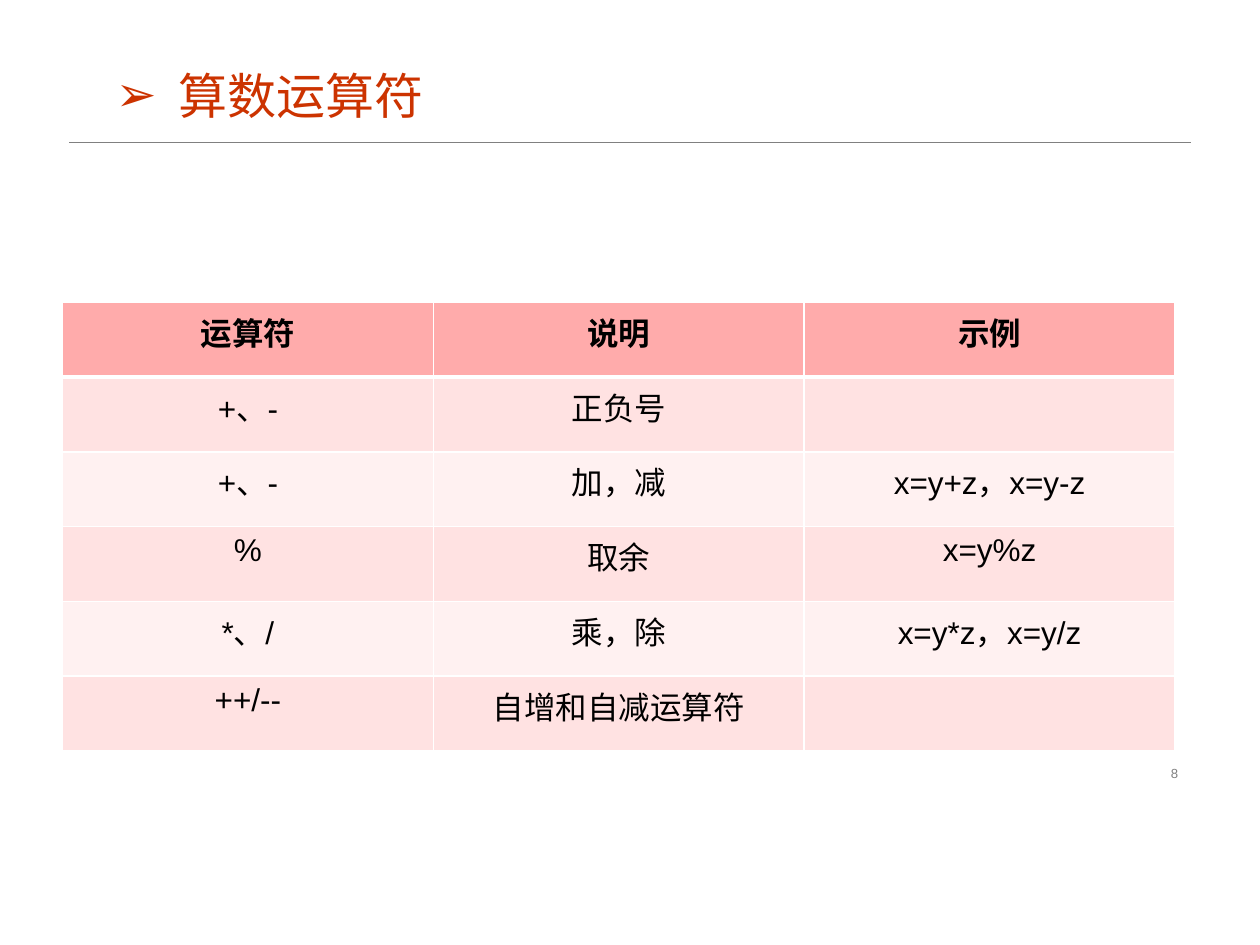
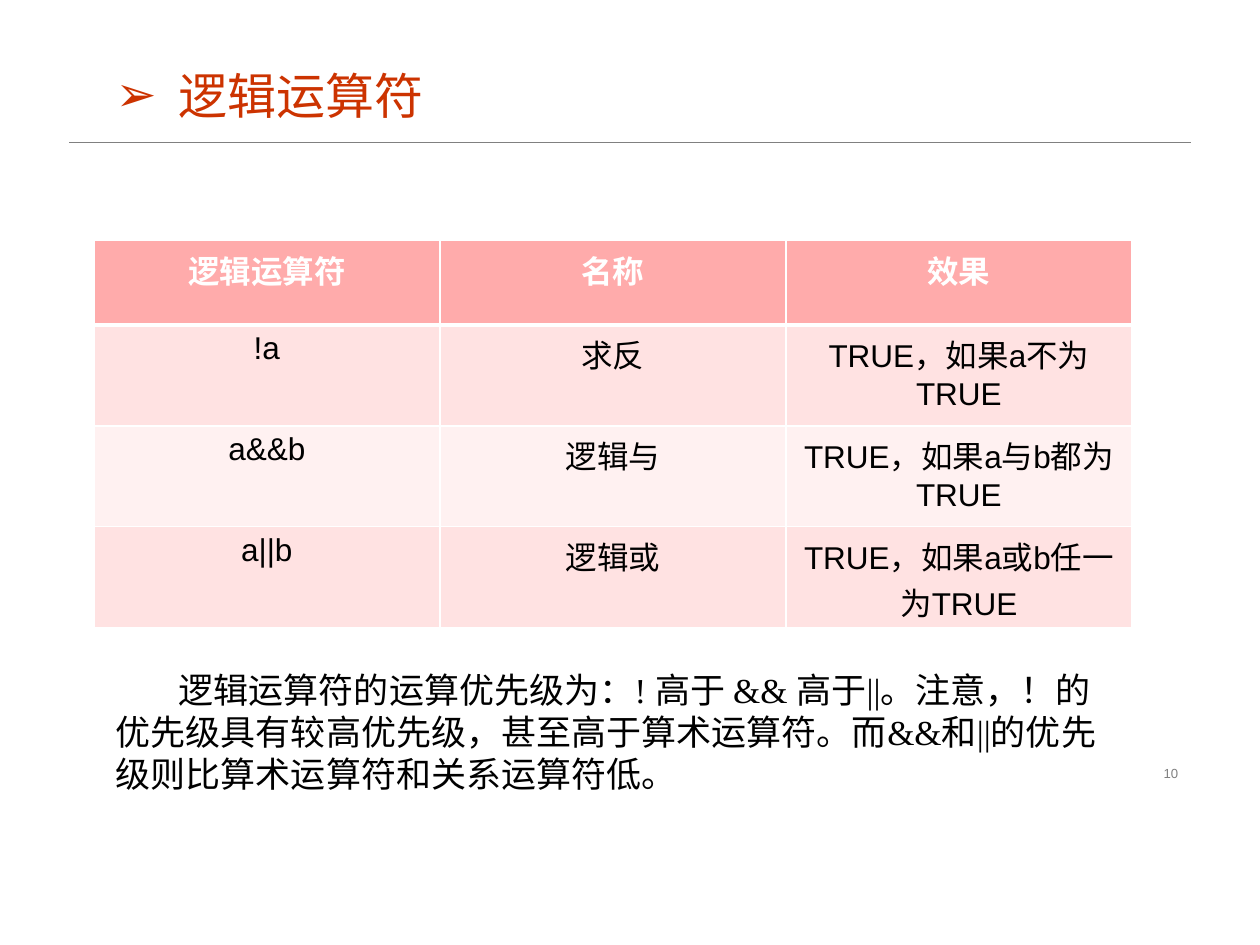
from dataclasses import dataclass

from lxml import etree
from pptx import Presentation
from pptx.dml.color import RGBColor
from pptx.enum.shapes import MSO_CONNECTOR
from pptx.enum.text import MSO_ANCHOR, MSO_AUTO_SIZE, PP_ALIGN
from pptx.oxml.ns import qn
from pptx.util import Inches, Pt

STRAIGHT = MSO_CONNECTOR.STRAIGHT
MIDDLE, TOP = MSO_ANCHOR.MIDDLE, MSO_ANCHOR.TOP
CENTER, LEFT, RIGHT = PP_ALIGN.CENTER, PP_ALIGN.LEFT, PP_ALIGN.RIGHT
FIT_SHAPE, NO_FIT = MSO_AUTO_SIZE.SHAPE_TO_FIT_TEXT, MSO_AUTO_SIZE.NONE


@dataclass(frozen=True)
class Theme:
    accent: str = "CC3300"
    ink: str = "000000"
    paper: str = "FFFFFF"
    muted: str = "808080"
    header: str = "FFABAB"
    bands: tuple = ("FFE2E2", "FFF1F1")
    sans: str = "Arial"
    serif: str = "Times New Roman"
    title_size: float = 28
    note_size: float = 20
    table_size: float = 18
    number_size: float = 7.5
    rule_width: float = 0.25
    border: float = 1
    header_border: float = 3


THEME = Theme()

# The slide is a grid of 100 columns by 75 rows
COLUMNS, ROWS = 100, 75
prs = Presentation()
prs.slide_width, prs.slide_height = Inches(10), Inches(7.5)


def across(columns):
    return round(prs.slide_width * columns / COLUMNS)


def down(rows):
    return round(prs.slide_height * rows / ROWS)


@dataclass(frozen=True)
class Box:
    left: float
    top: float
    width: float
    height: float

    def place(self):
        return (across(self.left), down(self.top),
                across(self.width), down(self.height))


RULE = Box(5.5, 11.25, 89, 0)
TITLE = Box(8.2, 4.7, 26.7, 5.7)
NUMBER = Box(70.6, 60.55, 23.9, 1.7)
NOTE = Box(8.2, 52.6, 81.2, 11.1)
INDENT = across(5)

# Full-width punctuation of the Chinese text
COMMA, COLON, EXCLAMATION = "\uff0c", "\uff1a", "\uff01"


def write(frame, text, size, font, color, align, bold=False):
    paragraph = frame.paragraphs[0]
    paragraph.text = text
    paragraph.alignment = align
    for run in paragraph.runs:
        run.font.size, run.font.name, run.font.bold = Pt(size), font, bold
        run.font.color.rgb = RGBColor.from_string(color)
    return paragraph


def add_text(slide, box, text, size, font, color, align=LEFT,
             wrap=True, fit=FIT_SHAPE, anchor=TOP):
    frame = slide.shapes.add_textbox(*box.place()).text_frame
    frame.word_wrap, frame.auto_size, frame.vertical_anchor = wrap, fit, anchor
    return write(frame, text, size, font, color, align)


def set_indent(paragraph, margin, first_line, bullet=None):
    properties = paragraph._p.get_or_add_pPr()
    properties.set("marL", str(margin))
    properties.set("indent", str(first_line))
    if bullet:
        etree.SubElement(properties, qn("a:buFont"), typeface=THEME.sans)
        etree.SubElement(properties, qn("a:buChar"), char=bullet)


def add_title(slide, box, text):
    title = add_text(slide, box, text, THEME.title_size, THEME.serif,
                     THEME.accent, wrap=False)
    set_indent(title, INDENT, -INDENT, "\u27a2")


def add_rule(slide, box):
    left, top, width, height = box.place()
    rule = slide.shapes.add_connector(STRAIGHT, left, top, left + width, top + height)
    rule.line.color.rgb = RGBColor.from_string(THEME.muted)
    rule.line.width = Pt(THEME.rule_width)
    etree.SubElement(rule._element.spPr, qn("a:effectLst"))


def add_number(slide, box, number):
    add_text(slide, box, str(number), THEME.number_size, THEME.sans,
             THEME.muted, RIGHT, fit=NO_FIT, anchor=MIDDLE)


def add_note(slide, box, text):
    note = add_text(slide, box, text, THEME.note_size, THEME.serif, THEME.ink)
    set_indent(note, 0, INDENT)


def set_borders(cell, top, bottom):
    properties = cell._tc.get_or_add_tcPr()
    widths = {"lnL": THEME.border, "lnR": THEME.border, "lnT": top, "lnB": bottom}
    # Border lines come before the fill
    for position, (side, width) in enumerate(widths.items()):
        line = etree.Element(qn(f"a:{side}"), w=str(Pt(width)))
        fill = etree.SubElement(line, qn("a:solidFill"))
        etree.SubElement(fill, qn("a:srgbClr"), val=THEME.paper)
        properties.insert(position, line)


def add_operator_table(slide, box, rows, header_rows, header_color):
    """Place a header of the given height and equal rows in the rest of the box."""
    table = slide.shapes.add_table(len(rows), len(rows[0]), *box.place()).table
    table.first_row = table.horz_banding = False
    for column in table.columns:
        column.width = across(box.width / len(rows[0]))
    body_rows = (box.height - header_rows) / (len(rows) - 1)

    for r, texts in enumerate(rows):
        is_header = r == 0
        table.rows[r].height = down(header_rows if is_header else body_rows)
        fill = THEME.header if is_header else THEME.bands[(r - 1) % 2]
        color = header_color if is_header else THEME.ink
        top = THEME.header_border if r == 1 else THEME.border
        bottom = THEME.header_border if is_header else THEME.border
        for c, text in enumerate(texts):
            cell = table.cell(r, c)
            cell.fill.solid()
            cell.fill.fore_color.rgb = RGBColor.from_string(fill)
            set_borders(cell, top, bottom)
            if text:
                write(cell.text_frame, text, THEME.table_size, THEME.sans,
                      color, CENTER, is_header)


def add_operator_slide(title, number):
    """Start a slide with the shared title, rule and page number."""
    slide = prs.slides.add_slide(prs.slide_layouts[6])
    add_rule(slide, RULE)
    add_number(slide, NUMBER, number)
    add_title(slide, TITLE, title)
    return slide


# Arithmetic operators
ARITHMETIC = [
    ("运算符", "说明", "示例"),
    ("+、-", "正负号", ""),
    ("+、-", f"加{COMMA}减", f"x=y+z{COMMA}x=y-z"),
    ("%", "取余", "x=y%z"),
    ("*、/", f"乘{COMMA}除", f"x=y*z{COMMA}x=y/z"),
    ("++/--", "自增和自减运算符", ""),
]
arithmetic = add_operator_slide("算数运算符", 8)
add_operator_table(arithmetic, Box(4.96, 24, 88.3, 35.6), ARITHMETIC,
                   35.6 / len(ARITHMETIC), THEME.ink)

# Logical operators
LOGICAL = [
    ("逻辑运算符", "名称", "效果"),
    ("!a", "求反", f"TRUE{COMMA}如果a不为TRUE"),
    ("a&&b", "逻辑与", f"TRUE{COMMA}如果a与b都为TRUE"),
    ("a||b", "逻辑或", f"TRUE{COMMA}如果a或b任一为TRUE"),
]
PRECEDENCE = (f"逻辑运算符的运算优先级为{COLON}! 高于 && 高于||。"
              f"注意{COMMA}{EXCLAMATION}的优先级具有较高优先级{COMMA}"
              "甚至高于算术运算符。"
              "而&&和||的优先级则比算术运算符和关系运算符低。")
logical = add_operator_slide("逻辑运算符", 10)
add_operator_table(logical, Box(7.44, 19.1, 82.4, 30.7), LOGICAL, 6.7, THEME.paper)
add_note(logical, NOTE, PRECEDENCE)

prs.save("out.pptx")
